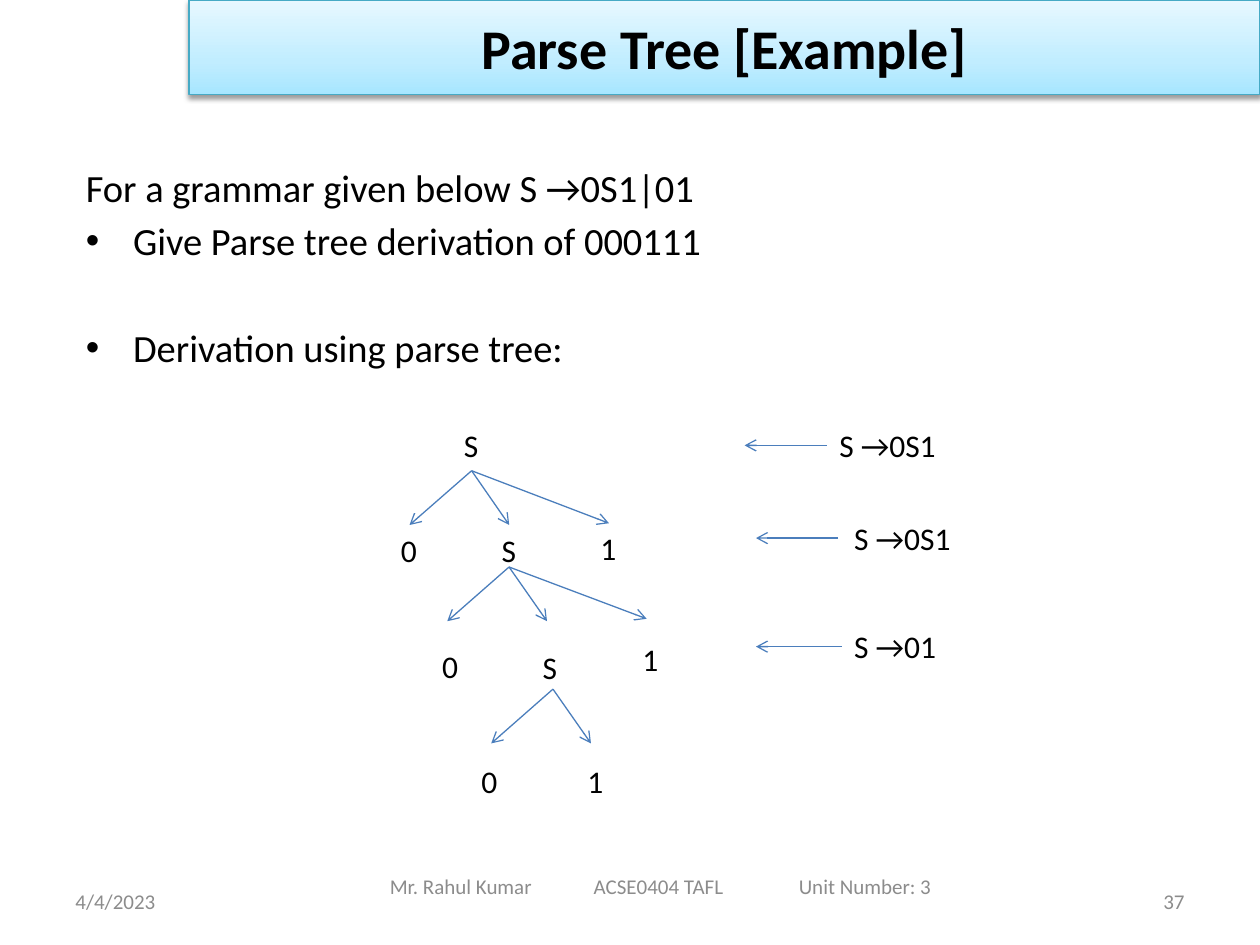
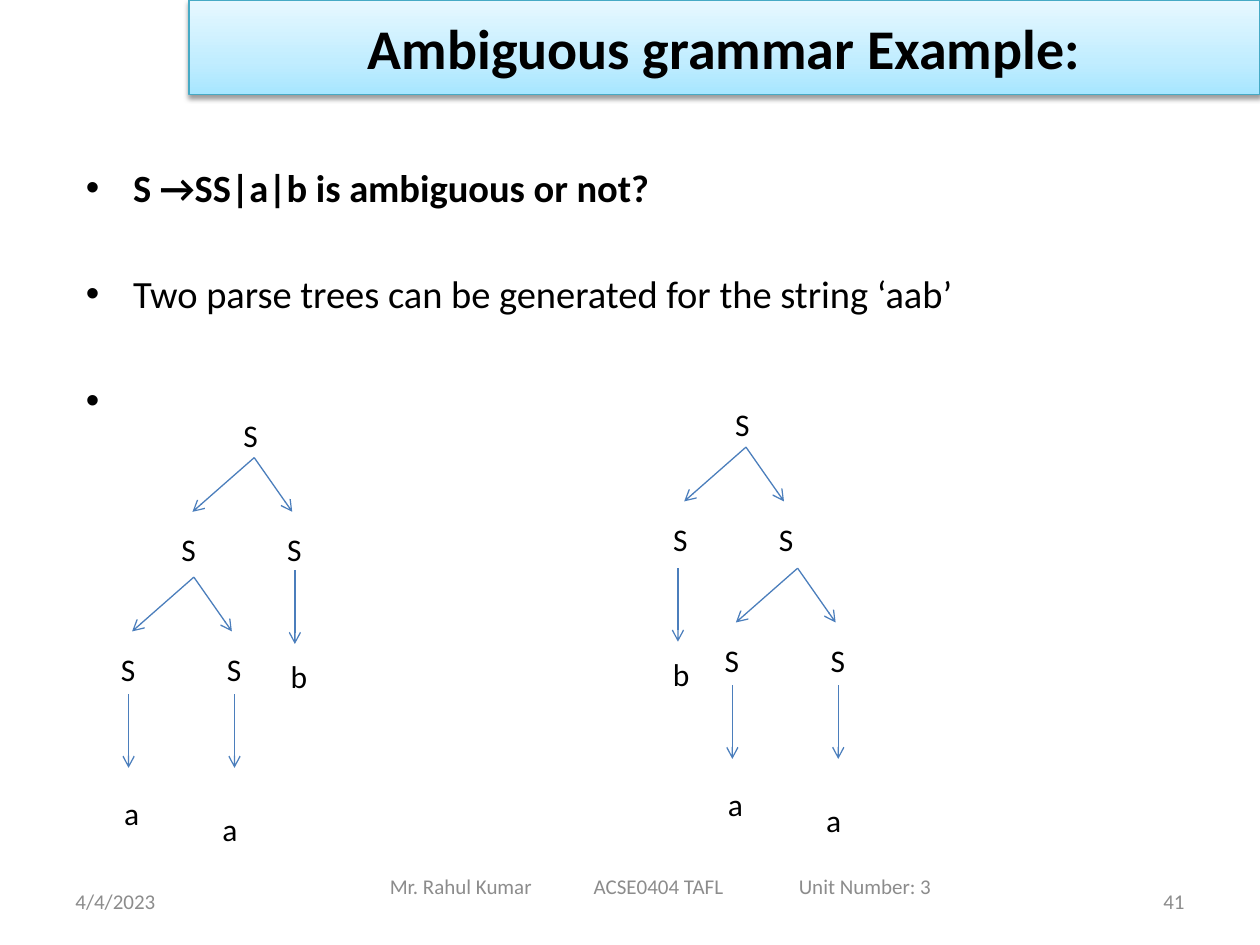
from copy import deepcopy
from dataclasses import dataclass

from lxml import etree
from pptx import Presentation
from pptx.dml.color import RGBColor
from pptx.enum.shapes import MSO_CONNECTOR, MSO_SHAPE
from pptx.enum.text import MSO_ANCHOR, PP_ALIGN
from pptx.oxml.ns import qn
from pptx.util import Pt

RECTANGLE = MSO_SHAPE.RECTANGLE
STRAIGHT = MSO_CONNECTOR.STRAIGHT
TOP, MIDDLE = MSO_ANCHOR.TOP, MSO_ANCHOR.MIDDLE
LEFT, CENTER, RIGHT = PP_ALIGN.LEFT, PP_ALIGN.CENTER, PP_ALIGN.RIGHT

COLORS = {
    "text": "000000",
    "footer": "8C8C8C",
    "arrow": "4B7EBC",
    "band_line": "46AAC5",
    "shadow": "000000",
}
BAND_STOPS = [(0, "A7E6FF"), (0.35, "C1EDFF"), (1, "E7F8FF")]

FONT = "Calibri"
FORMATS = {
    "title": {"name": FONT, "size": Pt(32), "bold": True},
    "body": {"name": FONT, "size": Pt(22), "bold": False},
    "question": {"name": FONT, "size": Pt(22), "bold": True},
    "node": {"name": FONT, "size": Pt(18), "bold": False},
    "footer": {"name": FONT, "size": Pt(12), "bold": False},
}

NODE_HEIGHT = 29
LABEL_WIDTHS = {"S": 23, "a": 23, "b": 24.5, "0": 24, "1": 24,
                "S →0S1": 70.5, "S →01": 62}
JOIN_TOLERANCE = 1
BULLET_INDENT = 27
DROP_LENGTH = 42
LEFT_BRANCH, RIGHT_BRANCH, FAR_BRANCH = (-35.3, 31), (21.7, 31), (78.6, 29.6)
PAIR = (LEFT_BRANCH, RIGHT_BRANCH)
TRIPLE = (LEFT_BRANCH, RIGHT_BRANCH, FAR_BRANCH)

Point = tuple[float, float]


@dataclass
class Line:
    text: str
    space_before: float = 0
    bullet: bool = True
    style: str = "body"


@dataclass
class Node:
    label: str
    left: float
    top: float


@dataclass
class Fan:
    """Arrows that spread from one apex to the given offsets."""
    apex: Point
    branches: tuple[Point, ...]


@dataclass
class Arrow:
    start: Point
    end: Point


@dataclass
class Footer:
    text: str
    left: float
    top: float
    width: float
    align: int
    tabs: tuple[float, ...] = ()


@dataclass
class Topic:
    title: str
    page: str
    lines: list[Line]
    nodes: list[Node]
    fans: list[Fan]
    arrows: list[Arrow]


def color(key: str) -> RGBColor:
    return RGBColor.from_string(COLORS[key])


def add_run(paragraph, text: str, style: str, color_key: str = "text") -> None:
    run = paragraph.add_run()
    run.text = text
    for attribute, value in FORMATS[style].items():
        setattr(run.font, attribute, value)
    run.font.color.rgb = color(color_key)


def add_text_frame(slide, left: float, top: float, width: float, height: float,
                   wrap: bool = True, anchor: int = TOP):
    box = slide.shapes.add_textbox(Pt(left), Pt(top), Pt(width), Pt(height))
    box.text_frame.word_wrap = wrap
    box.text_frame.vertical_anchor = anchor
    return box, box.text_frame


def add_title_band(slide, title: str) -> None:
    band = slide.shapes.add_shape(RECTANGLE, Pt(108), 0, Pt(612), Pt(54))
    band.fill.gradient()
    band.fill.gradient_angle = 90
    stop_list = band._element.spPr.find(".//" + qn("a:gsLst"))
    stop_list.append(deepcopy(stop_list[-1]))
    for stop, (position, hex_color) in zip(band.fill.gradient_stops, BAND_STOPS):
        stop.position = position
        stop.color.rgb = RGBColor.from_string(hex_color)
    band.line.color.rgb = color("band_line")
    band.line.width = Pt(0.75)

    band.shadow.inherit = False
    effects = band._element.spPr.find(qn("a:effectLst"))
    shadow = etree.SubElement(effects, qn("a:outerShdw"), blurRad=str(Pt(3.1)),
                              dist=str(Pt(1.6)), dir="5400000", rotWithShape="0")
    shade = etree.SubElement(shadow, qn("a:srgbClr"), val=COLORS["shadow"])
    etree.SubElement(shade, qn("a:alpha"), val="38000")

    band.text_frame.vertical_anchor = MIDDLE
    paragraph = band.text_frame.paragraphs[0]
    paragraph.alignment = CENTER
    add_run(paragraph, title, "title")


def add_body(slide, lines: list[Line]) -> None:
    _, frame = add_text_frame(slide, 42, 90, 648, 356.4)
    for index, line in enumerate(lines):
        paragraph = frame.add_paragraph() if index else frame.paragraphs[0]
        if line.bullet:
            properties = paragraph._p.get_or_add_pPr()
            properties.set("marL", str(Pt(BULLET_INDENT)))
            properties.set("indent", str(Pt(-BULLET_INDENT)))
            etree.SubElement(properties, qn("a:buFont"), typeface="Arial")
            etree.SubElement(properties, qn("a:buChar"), char="•")
        paragraph.space_before = Pt(line.space_before)
        add_run(paragraph, line.text, line.style)


def add_footer(slide, footer: Footer) -> None:
    _, frame = add_text_frame(slide, footer.left, footer.top, footer.width, 28.8,
                              anchor=MIDDLE)
    paragraph = frame.paragraphs[0]
    paragraph.alignment = footer.align
    if footer.tabs:
        tab_list = etree.SubElement(paragraph._p.get_or_add_pPr(), qn("a:tabLst"))
        for position in footer.tabs:
            etree.SubElement(tab_list, qn("a:tab"), pos=str(Pt(position)), algn="l")
    add_run(paragraph, footer.text, "footer", "footer")


def add_node(slide, node: Node):
    box, frame = add_text_frame(slide, node.left, node.top, LABEL_WIDTHS[node.label],
                                NODE_HEIGHT, wrap=False)
    add_run(frame.paragraphs[0], node.label, "node")
    return box


def find_join(point: Point, boxes: list):
    """Return the box and side whose middle lies at the point, if any."""
    for box in boxes:
        left, top = box.left.pt, box.top.pt
        width, height = box.width.pt, box.height.pt
        sides = [(left + width / 2, top), (left, top + height / 2),
                 (left + width / 2, top + height), (left + width, top + height / 2)]
        for side, (x, y) in enumerate(sides):
            if max(abs(x - point[0]), abs(y - point[1])) <= JOIN_TOLERANCE:
                return box, side
    return None


def add_arrow(slide, arrow: Arrow, boxes: list) -> None:
    connector = slide.shapes.add_connector(
        STRAIGHT, *(Pt(value) for value in arrow.start + arrow.end))
    for point, connect in ((arrow.start, connector.begin_connect),
                           (arrow.end, connector.end_connect)):
        join = find_join(point, boxes)
        if join:
            connect(*join)
    connector.line.color.rgb = color("arrow")
    connector.line.width = Pt(0.75)
    etree.SubElement(connector.line._get_or_add_ln(), qn("a:tailEnd"), type="arrow")
    etree.SubElement(connector._element.spPr, qn("a:effectLst"))


def fan_arrows(fan: Fan) -> list[Arrow]:
    x, y = fan.apex
    return [Arrow(fan.apex, (x + dx, y + dy)) for dx, dy in fan.branches]


def drop(x: float, y: float) -> Arrow:
    return Arrow((x, y), (x, y + DROP_LENGTH))


def children(apex: Point) -> list[Node]:
    x, y = apex
    return [Node("S", x + dx, y + 38) for dx in (-48.8, 11.7)]


def aab_tree(root: Point, split: Point, b_drop: Arrow,
             b_node: Node) -> tuple[list[Node], list[Fan], list[Arrow]]:
    """Parse tree of 'aab' with one S splitting again and one S giving b."""
    x, y = split
    pair = children(split)
    nodes = [Node("S", root[0] - 13.3, root[1] - 27.5), *children(root), *pair,
             Node("a", x - 47, y + 120.3), Node("a", x + 9.2, y + 129.3), b_node]
    drops = [drop(s.left + LABEL_WIDTHS["S"] / 2, s.top + NODE_HEIGHT) for s in pair]
    return nodes, [Fan(root, PAIR), Fan(split, PAIR)], [*drops, b_drop]


def build_topics() -> list[Topic]:
    derivation = Topic(
        "Parse Tree [Example]", "37",
        [Line("For a grammar given below S →0S1|01", bullet=False),
         Line("Give Parse tree derivation of 000111", 4.2),
         Line("Derivation using parse tree:", 34.4)],
        [Node("S", 258, 240),
         Node("0", 222, 300), Node("S", 279.5, 300), Node("1", 336, 299),
         Node("0", 245.5, 366), Node("S", 303, 366.5), Node("1", 360, 362),
         Node("0", 268, 432), Node("1", 328.5, 432),
         Node("S →0S1", 472.5, 240), Node("S →0S1", 481, 293),
         Node("S →01", 481, 355)],
        [Fan((269.3, 269.3), TRIPLE), Fan((290.9, 324), TRIPLE),
         Fan((316, 393.8), PAIR)],
        [Arrow((472.5, 254.5), (425.5, 254.5)), Arrow((479, 307.5), (432, 307.5)),
         Arrow((481, 369.5), (432, 369.5))])

    left_tree = aab_tree((145.3, 261.5), (110.8, 329.8), drop(168.5, 326),
                         Node("b", 159, 372))
    right_tree = aab_tree((426.3, 255.5), (455.8, 324.7), drop(387.4, 324.7),
                          Node("b", 377.5, 371))
    nodes, fans, arrows = (left + right for left, right in zip(left_tree, right_tree))
    ambiguity = Topic(
        "Ambiguous grammar Example:", "41",
        [Line("S →SS|a|b is ambiguous or not?", style="question"),
         Line("Two parse trees can be generated for the string ‘aab’", 34.6),
         Line(" ", 34.4)],
        nodes, fans, arrows)
    return [derivation, ambiguity]


def add_topic(presentation, topic: Topic) -> None:
    slide = presentation.slides.add_slide(presentation.slide_layouts[6])
    add_body(slide, topic.lines)
    for footer in (
        Footer("4/4/2023", 36, 500.4, 168, LEFT),
        Footer("\tMr. Rahul Kumar\tACSE0404 TAFL\tUnit Number: 3", 180, 492, 396, LEFT,
               (35.7, 152.2, 269.4)),
        Footer(topic.page, 516, 500.4, 168, RIGHT),
    ):
        add_footer(slide, footer)
    add_title_band(slide, topic.title)
    boxes = [add_node(slide, node) for node in topic.nodes]
    for fan in topic.fans:
        for arrow in fan_arrows(fan):
            add_arrow(slide, arrow, boxes)
    for arrow in topic.arrows:
        add_arrow(slide, arrow, boxes)


def main() -> None:
    presentation = Presentation()
    presentation.slide_width, presentation.slide_height = Pt(720), Pt(540)
    for topic in build_topics():
        add_topic(presentation, topic)
    presentation.save("out.pptx")


if __name__ == "__main__":
    main()
